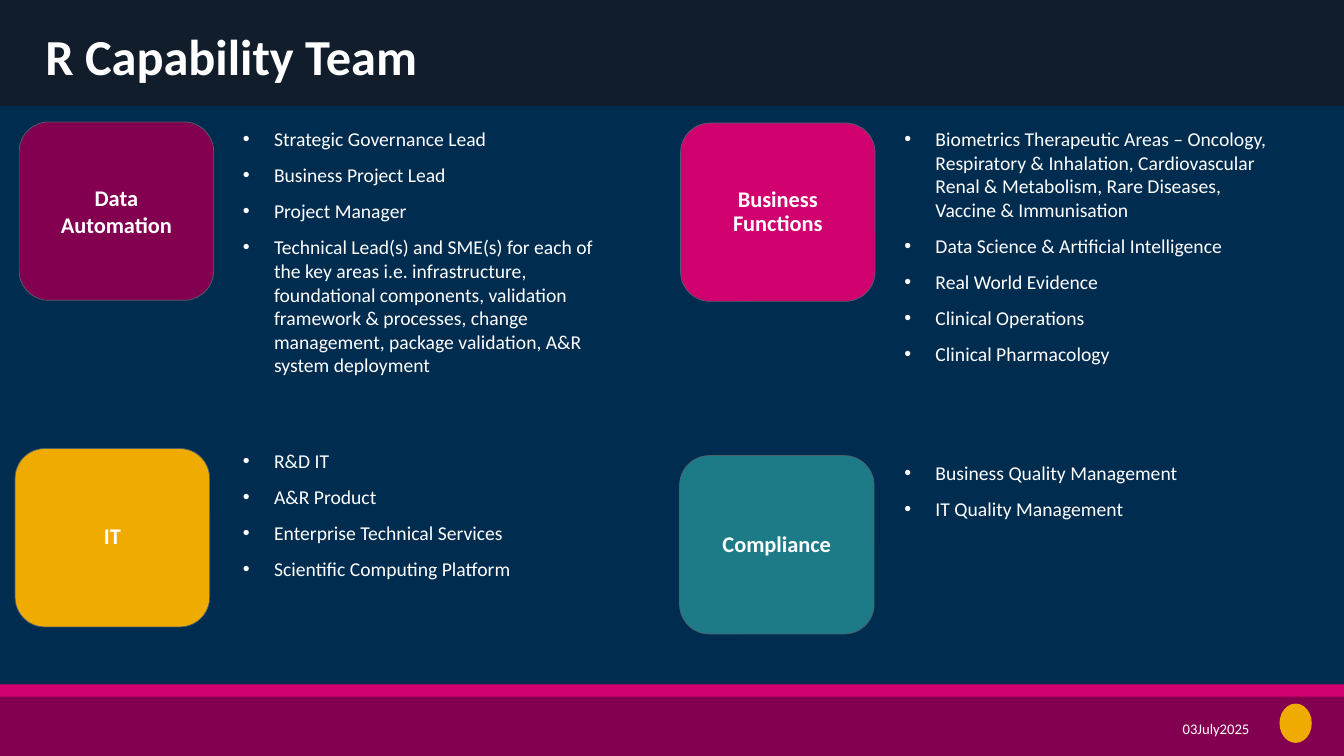
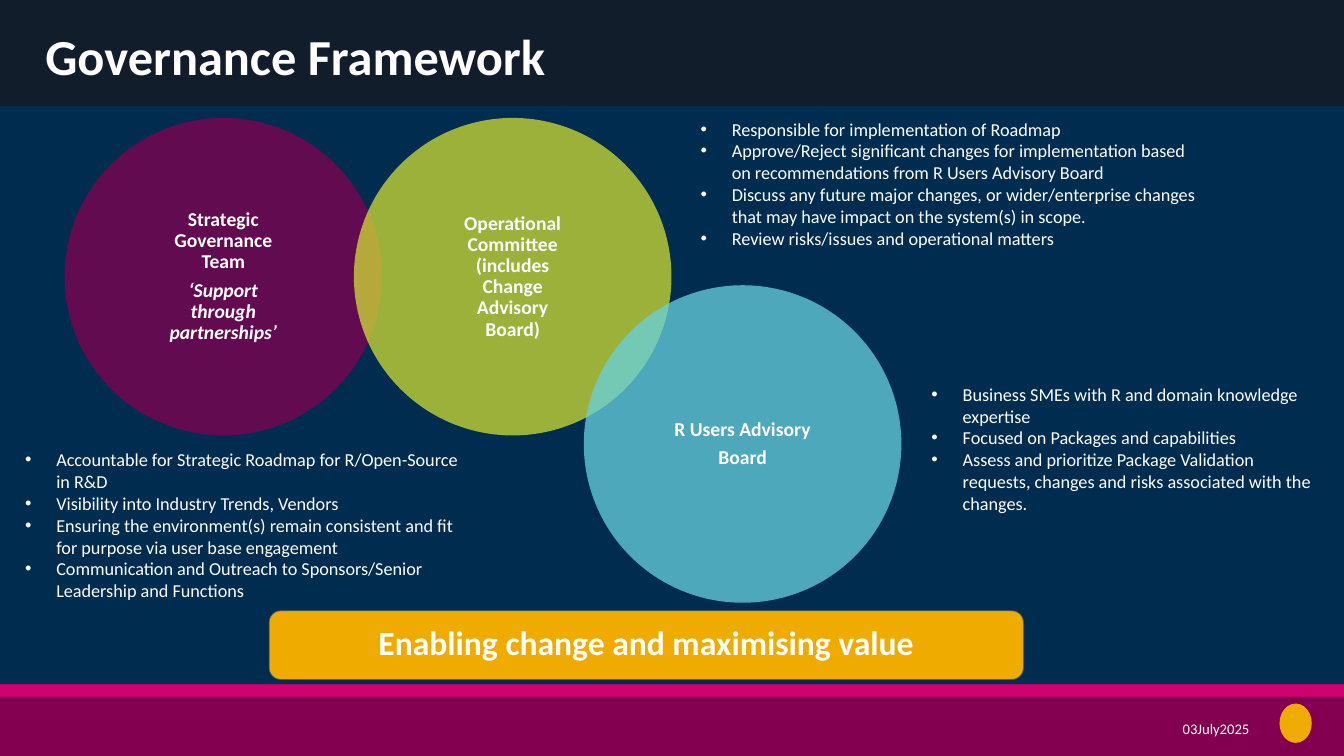
"""Build the R capability team and governance framework slides."""
from dataclasses import dataclass

from lxml import etree
from pptx import Presentation
from pptx.dml.color import RGBColor
from pptx.enum.shapes import MSO_SHAPE
from pptx.enum.text import MSO_ANCHOR, PP_ALIGN
from pptx.oxml.ns import qn
from pptx.util import Pt

PX = 9144
RECTANGLE, ROUNDED, OVAL = MSO_SHAPE.RECTANGLE, MSO_SHAPE.ROUNDED_RECTANGLE, MSO_SHAPE.OVAL
TOP, MIDDLE, BOTTOM = MSO_ANCHOR.TOP, MSO_ANCHOR.MIDDLE, MSO_ANCHOR.BOTTOM
LEFT, CENTER, RIGHT = PP_ALIGN.LEFT, PP_ALIGN.CENTER, PP_ALIGN.RIGHT


@dataclass(frozen=True)
class Theme:
    """Colours and type sizes shared by the deck."""
    font: str = "Calibri"
    background: str = "002C50"
    header: str = "111D2B"
    mulberry: str = "830051"
    magenta: str = "D0006F"
    emblem: str = "EFAB00"
    gold: str = "F0AB00"
    teal: str = "1D7B87"
    lime: str = "D0DE33"
    aqua: str = "68D2DF"
    outline: str = "4D616B"
    white: str = "FFFFFF"
    title_size: float = 36
    banner_size: float = 24
    badge_size: float = 16
    body_size: float = 14
    note_size: float = 13
    date_size: float = 10.5


THEME = Theme()
WIDTH, HEIGHT = 1333, 750
DATE = "03July2025"
INDENT = 31
BADGE_SIZE = (193, 177)
CIRCLE_SIZE = 315
BADGE_INSETS = (22, 25, 22, 25)
CIRCLE_INSETS = (56, 0, 56, 0)
LIST_INSETS = (10, 5, 10, 5)
LABEL_FORMAT = {"alignment": CENTER, "line_spacing": 0.9, "space_after": Pt(5)}

TEAMS = [
    {"box": (19, 121, 609, 275), "shift": (212, 0), "fill": THEME.mulberry,
     "name": "Data Automation", "spacing": 1.0,
     "members": [
         "Strategic Governance Lead", "Business Project Lead", "Project Manager",
         "Technical Lead(s) and SME(s) for each of the key areas i.e. infrastructure, "
         "foundational components, validation framework & processes, change management, "
         "package validation, A&R system deployment"]},
    {"box": (675, 122, 603, 254), "shift": (212, -1), "fill": THEME.magenta,
     "name": "Business Functions", "spacing": 0.9,
     "members": [
         "Biometrics Therapeutic Areas – Oncology, Respiratory & Inhalation, "
         "Cardiovascular Renal & Metabolism, Rare Diseases, Vaccine & Immunisation",
         "Data Science & Artificial Intelligence", "Real World Evidence",
         "Clinical Operations", "Clinical Pharmacology"]},
    {"box": (15, 445, 535, 134), "shift": (216, -5), "fill": THEME.gold,
     "name": "IT", "spacing": 0.9,
     "members": ["R&D IT", "A&R Product", "Enterprise Technical Services",
                 "Scientific Computing Platform"]},
    {"box": (674, 452, 532, 126), "shift": (213, 0), "fill": THEME.teal,
     "name": "Compliance", "spacing": 0.9,
     "members": ["Business Quality Management", "IT Quality Management"]},
]

BODIES = [
    {"corner": (64, 117), "fill": THEME.mulberry, "wrap": True,
     "lines": [("Strategic Governance Team", False), ("‘Support through partnerships’", True)],
     "list_box": (15, 440, 455, 163),
     "duties": [
         "Accountable for Strategic Roadmap for R/Open-Source in R&D",
         "Visibility into Industry Trends, Vendors",
         "Ensuring the environment(s) remain consistent and fit for purpose via user base "
         "engagement",
         "Communication and Outreach to Sponsors/Senior Leadership and Functions"]},
    {"corner": (351, 117), "fill": THEME.lime, "wrap": True,
     "lines": [("Operational Committee (includes Change Advisory Board)", False)],
     "list_box": (685, 112, 513, 163),
     "duties": [
         "Responsible for implementation of Roadmap",
         "Approve/Reject significant changes for implementation based on recommendations "
         "from R Users Advisory Board",
         "Discuss any future major changes, or wider/enterprise changes that may have "
         "impact on the system(s) in scope.",
         "Review risks/issues and operational matters"]},
    {"corner": (579, 283), "fill": THEME.aqua, "wrap": False,
     "lines": [("R Users Advisory", False), ("Board", False)],
     "list_box": (914, 375, 406, 141),
     "duties": [
         "Business SMEs with R and domain knowledge expertise",
         "Focused on Packages and capabilities",
         "Assess and prioritize Package Validation requests, changes and risks associated "
         "with the changes."]},
]


def apply(target, values):
    """Set each named attribute of the target."""
    for name, value in values.items():
        setattr(target, name, value)


def emu(box):
    """Turn pixel lengths into EMU."""
    return [length * PX for length in box]


def add_panel(page, kind, box, fill, outline=None, opacity=None):
    """Draw a filled preset shape."""
    panel = page.shapes.add_shape(kind, *emu(box))
    panel.shadow.inherit = False
    panel.fill.solid()
    panel.fill.fore_color.rgb = RGBColor.from_string(fill)
    if outline:
        panel.line.color.rgb = RGBColor.from_string(outline)
        panel.line.width = Pt(0.5)
    else:
        panel.line.fill.background()
    if opacity:
        colour = panel._element.spPr.find(qn("a:solidFill")).find(qn("a:srgbClr"))
        etree.SubElement(colour, qn("a:alpha")).set("val", str(opacity * 1000))
    return panel


def set_frame(shape, insets, anchor, wrap=True):
    """Set the insets, anchor and wrapping of a shape's text."""
    left, top, right, bottom = emu(insets)
    frame = shape.text_frame
    apply(frame, {"margin_left": left, "margin_top": top, "margin_right": right,
                  "margin_bottom": bottom, "vertical_anchor": anchor, "word_wrap": wrap})
    return frame


def add_bullet(para):
    """Give a paragraph a white round bullet and a hanging indent."""
    properties = para._p.get_or_add_pPr()
    properties.set("marL", str(INDENT * PX))
    properties.set("indent", str(-INDENT * PX))
    colour = etree.SubElement(properties, qn("a:buClr"))
    etree.SubElement(colour, qn("a:srgbClr")).set("val", THEME.white)
    etree.SubElement(properties, qn("a:buFont")).set("typeface", "Arial")
    etree.SubElement(properties, qn("a:buChar")).set("char", "•")


def write(frame, lines, size, layout, bold=False, bullets=False):
    """Write (text, italic) lines as formatted paragraphs."""
    for index, (text, italic) in enumerate(lines):
        para = frame.add_paragraph() if index else frame.paragraphs[0]
        if bullets:
            add_bullet(para)
        apply(para, layout)
        span = para.add_run()
        span.text = text
        apply(span.font, {"name": THEME.font, "size": Pt(size), "bold": bold, "italic": italic})
        span.font.color.rgb = RGBColor.from_string(THEME.white)


def add_caption(page, box, text, size, insets, anchor, alignment, bold=False):
    """Place one line of text in its own box."""
    frame = set_frame(page.shapes.add_textbox(*emu(box)), insets, anchor)
    write(frame, [(text, False)], size, {"alignment": alignment}, bold)


def add_list(page, box, items, size, space_after):
    """Place a bulleted list."""
    frame = set_frame(page.shapes.add_textbox(*emu(box)), LIST_INSETS, TOP)
    write(frame, [(item, False) for item in items], size,
          {"alignment": LEFT, "space_after": Pt(space_after)}, bullets=True)


def add_badge(page, box, text, fill, size, spacing=0.9):
    """Draw an outlined rounded box with a bold label."""
    badge = add_panel(page, ROUNDED, box, fill, THEME.outline)
    write(set_frame(badge, BADGE_INSETS, MIDDLE), [(text, False)], size,
          {**LABEL_FORMAT, "line_spacing": spacing}, bold=True)


def add_footer(page, box):
    """Draw the footer band with its stripe, date and emblem."""
    left, top, width, height = box
    add_panel(page, RECTANGLE, box, THEME.mulberry)
    add_panel(page, RECTANGLE, (left, top, width, 12), THEME.magenta)
    add_panel(page, OVAL, (left + width - 64, top + 19, 32, 39), THEME.emblem)
    add_caption(page, (left + width - 224, top + 27, 140, 34), DATE, THEME.date_size,
                (10, 5, 10, 8), BOTTOM, RIGHT)


def add_page(deck, title):
    """Add a page with the shared background, header and footer."""
    page = deck.slides.add_slide(deck.slide_layouts[6])
    page.background.fill.solid()
    page.background.fill.fore_color.rgb = RGBColor.from_string(THEME.background)
    add_panel(page, RECTANGLE, (0, 0, WIDTH, 105), THEME.header)
    add_footer(page, (0, 679, WIDTH, HEIGHT - 679))
    add_caption(page, (45, 3, 1244, 103), title, THEME.title_size, (0, 0, 0, 0),
                MIDDLE, LEFT, bold=True)
    return page


def add_team(page, box, shift, fill, name, spacing, members):
    """Place a team badge with its member list beside it."""
    left, top, width, height = box
    across, down = shift
    add_badge(page, (left, top, *BADGE_SIZE), name, fill, THEME.badge_size, spacing)
    add_list(page, (left + across, top + down, width - across, height), members,
             THEME.body_size, 9)


def add_body(page, corner, fill, wrap, lines, list_box, duties):
    """Place a governance circle and the list of its duties."""
    circle = add_panel(page, OVAL, (*corner, CIRCLE_SIZE, CIRCLE_SIZE), fill, opacity=75)
    write(set_frame(circle, CIRCLE_INSETS, MIDDLE, wrap), lines, THEME.body_size,
          LABEL_FORMAT, bold=True)
    add_list(page, list_box, duties, THEME.note_size, 0)


def main():
    """Build and save the deck."""
    deck = Presentation()
    apply(deck, {"slide_width": WIDTH * PX, "slide_height": HEIGHT * PX})
    team_page = add_page(deck, "R Capability Team")
    for team in TEAMS:
        add_team(team_page, **team)
    governance_page = add_page(deck, "Governance Framework")
    for body in BODIES:
        add_body(governance_page, **body)
    add_badge(governance_page, (267, 606, 748, 68), "Enabling change and maximising value",
              THEME.gold, THEME.banner_size)
    deck.save("out.pptx")


if __name__ == "__main__":
    main()
